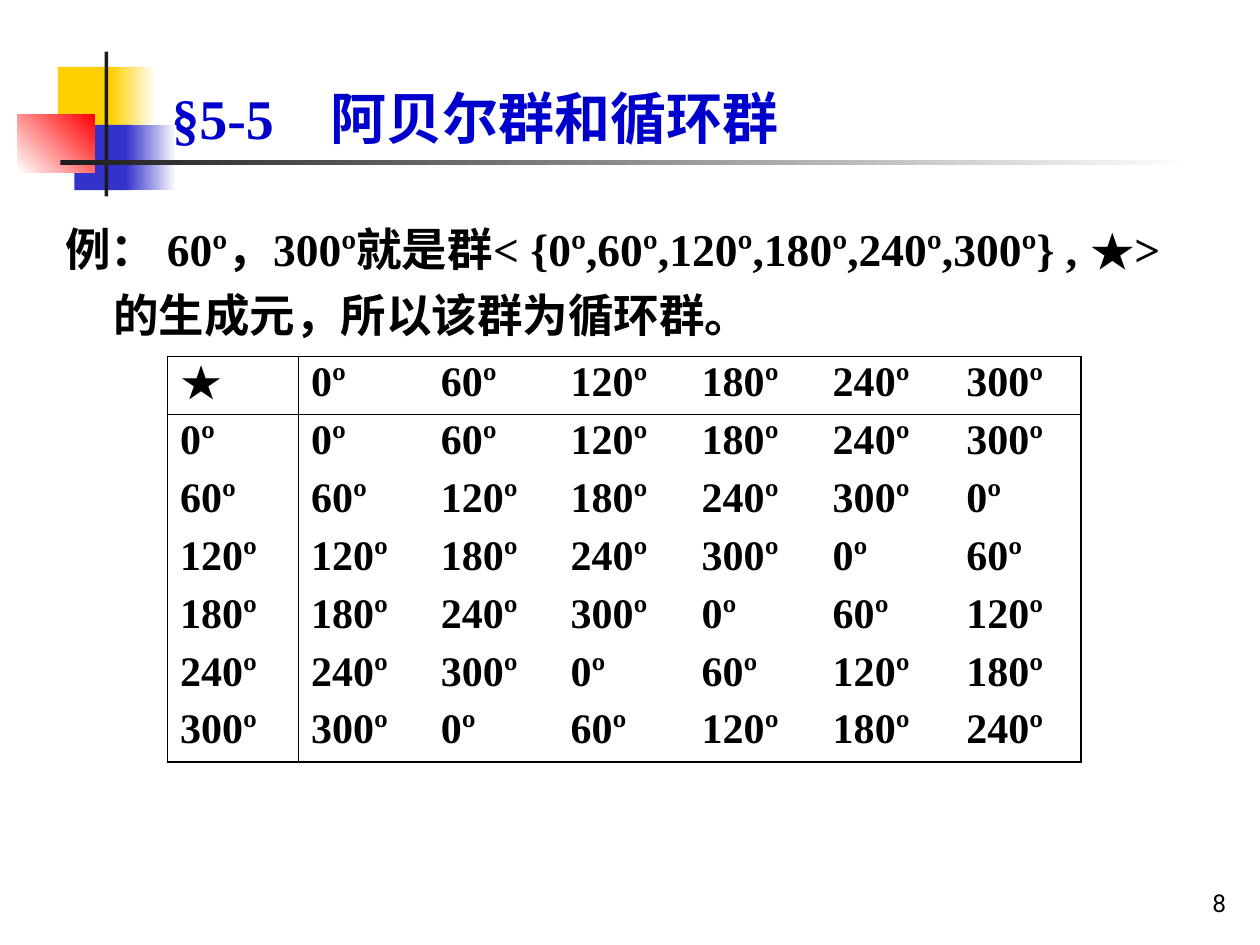
"""Build the slide on Abelian and cyclic groups with its rotation table."""
import dataclasses
import typing

import lxml.etree
import pptx
import pptx.dml.color
import pptx.enum.shapes
import pptx.enum.text
import pptx.oxml.ns
import pptx.util

Inches = pptx.util.Inches
Pt = pptx.util.Pt
ALIGN = pptx.enum.text.PP_ALIGN
ANCHOR = pptx.enum.text.MSO_ANCHOR
SERIF = "Times New Roman"
BODY = "例： 60º，300º就是群< {0º,60º,120º,180º,240º,300º} , ★>的生成元，所以该群为循环群。"
WIDTHS = [1.04, 1.03, 1.03, 1.04, 1.04, 1.06, 1.01]
TURNS = range(0, 360, 60)


@dataclasses.dataclass
class Block:
    left: float
    top: float
    width: float
    height: float
    start: str
    end: str = ""
    angle: float = 0


BLOCKS = [
    Block(0.46, 0.53, 0.48, 0.52, "FFCF01"),
    Block(0.88, 0.53, 0.36, 0.52, "FFCF01", "FFFFFF"),
    Block(0.59, 0.99, 0.46, 0.52, "3333CC"),
    Block(1, 0.99, 0.4, 0.52, "3333CC", "FFFFFF"),
    Block(0.14, 0.91, 0.61, 0.46, "FFFFFF", "FF0000", 45),
    Block(0.83, 0.41, 0.03, 1.15, "1C1C1C"),
    Block(0.48, 1.27, 9, 0.04, "1C1C1C", "FFFFFF"),
]


def paint(color: typing.Any, value: str) -> None:
    """Set a colour from a hex string."""
    color.rgb = pptx.dml.color.RGBColor.from_string(value)


def apply(target: typing.Any, values: dict) -> None:
    """Set each named attribute on the target."""
    for name, value in values.items():
        setattr(target, name, value)


def draw_block(slide: typing.Any, block: Block) -> None:
    """Draw one plain or graded rectangle."""
    box = [Inches(n) for n in (block.left, block.top, block.width, block.height)]
    shape = slide.shapes.add_shape(pptx.enum.shapes.MSO_SHAPE.RECTANGLE, *box)
    shape.shadow.inherit = False
    shape.line.fill.background()
    if block.end:
        shape.fill.gradient()
        shape.fill.gradient_angle = block.angle
        for stop, value in zip(shape.fill.gradient_stops, (block.start, block.end)):
            paint(stop.color, value)
    else:
        shape.fill.solid()
        paint(shape.fill.fore_color, block.start)


def write(frame: typing.Any, text: str, size: float, font: str = SERIF,
          color: str = "000000", bold: bool = True, **layout: typing.Any) -> None:
    """Write one formatted paragraph into a text frame."""
    para = frame.paragraphs[0]
    run = para.add_run()
    run.text = text
    apply(run.font, {"name": font, "size": Pt(size), "bold": bold})
    paint(run.font.color, color)
    apply(para, layout)


def place(shape: typing.Any, box: tuple, anchor: typing.Any) -> typing.Any:
    """Position a text shape and return its wrapped frame."""
    names = ("left", "top", "width", "height")
    apply(shape, {name: Inches(n) for name, n in zip(names, box)})
    apply(shape.text_frame, {
        "auto_size": pptx.enum.text.MSO_AUTO_SIZE.NONE,
        "word_wrap": True,
        "vertical_anchor": anchor,
    })
    return shape.text_frame


def add_edge(cell: typing.Any, side: str, width: float) -> None:
    """Add a black border, or an empty one when the width is zero."""
    qn = pptx.oxml.ns.qn
    props = cell._tc.get_or_add_tcPr()
    line = lxml.etree.SubElement(props, qn(f"a:ln{side}"), w=str(int(Pt(width))))
    if width:
        fill = lxml.etree.SubElement(line, qn("a:solidFill"))
        lxml.etree.SubElement(fill, qn("a:srgbClr"), val="000000")
    else:
        lxml.etree.SubElement(line, qn("a:noFill"))


def draw_table(slide: typing.Any) -> None:
    """Draw the table that composes every pair of rotations."""
    count = len(WIDTHS)
    high = 0.46
    table = slide.shapes.add_table(
        count, count, Inches(1.33), Inches(2.83),
        Inches(sum(WIDTHS)), Inches(high * count)).table
    apply(table, {"first_row": False, "horz_banding": False})
    for col, width in zip(table.columns, WIDTHS):
        col.width = Inches(width)
    for row in table.rows:
        row.height = Inches(high)
    heads = ["★"] + [f"{turn}º" for turn in TURNS]
    rows = [heads] + [
        [f"{turn}º"] + [f"{(turn + step) % 360}º" for step in TURNS] for turn in TURNS]
    edges = {0: 1.08, 1: 0.45, count: 1.08}
    for i, row in enumerate(rows):
        for j, text in enumerate(row):
            cell = table.cell(i, j)
            write(cell.text_frame, text, 24, line_spacing=0.9)
            for side, index in (("L", j), ("R", j + 1), ("T", i), ("B", i + 1)):
                add_edge(cell, side, edges.get(index, 0))
            cell.fill.background()


def main() -> None:
    """Build and save the slide."""
    deck = pptx.Presentation()
    apply(deck, {"slide_width": Inches(10), "slide_height": Inches(7.5)})
    slide = deck.slides.add_slide(deck.slide_layouts.get_by_name("Title Only"))
    for block in BLOCKS:
        draw_block(slide, block)
    title = place(slide.shapes.title, (1.26, 0, 8.52, 1.25), ANCHOR.BOTTOM)
    write(title, "§5-5　阿贝尔群和循环群", 32, color="0000CC", alignment=ALIGN.LEFT)
    body = place(slide.shapes.add_textbox(0, 0, 0, 0), (0.42, 1.53, 9.08, 1.22), ANCHOR.TOP)
    body.margin_top = Inches(0.14)
    write(body, BODY, 26, line_spacing=1.2)
    props = body.paragraphs[0]._p.get_or_add_pPr()
    props.set("marL", str(int(Inches(0.38))))
    props.set("indent", str(int(Inches(-0.38))))
    draw_table(slide)
    number = place(slide.shapes.add_textbox(0, 0, 0, 0), (7.75, 6.83, 2.08, 0.5), ANCHOR.BOTTOM)
    write(number, "8", 14, font="Roboto", bold=False, alignment=ALIGN.RIGHT)
    deck.save("out.pptx")


if __name__ == "__main__":
    main()
